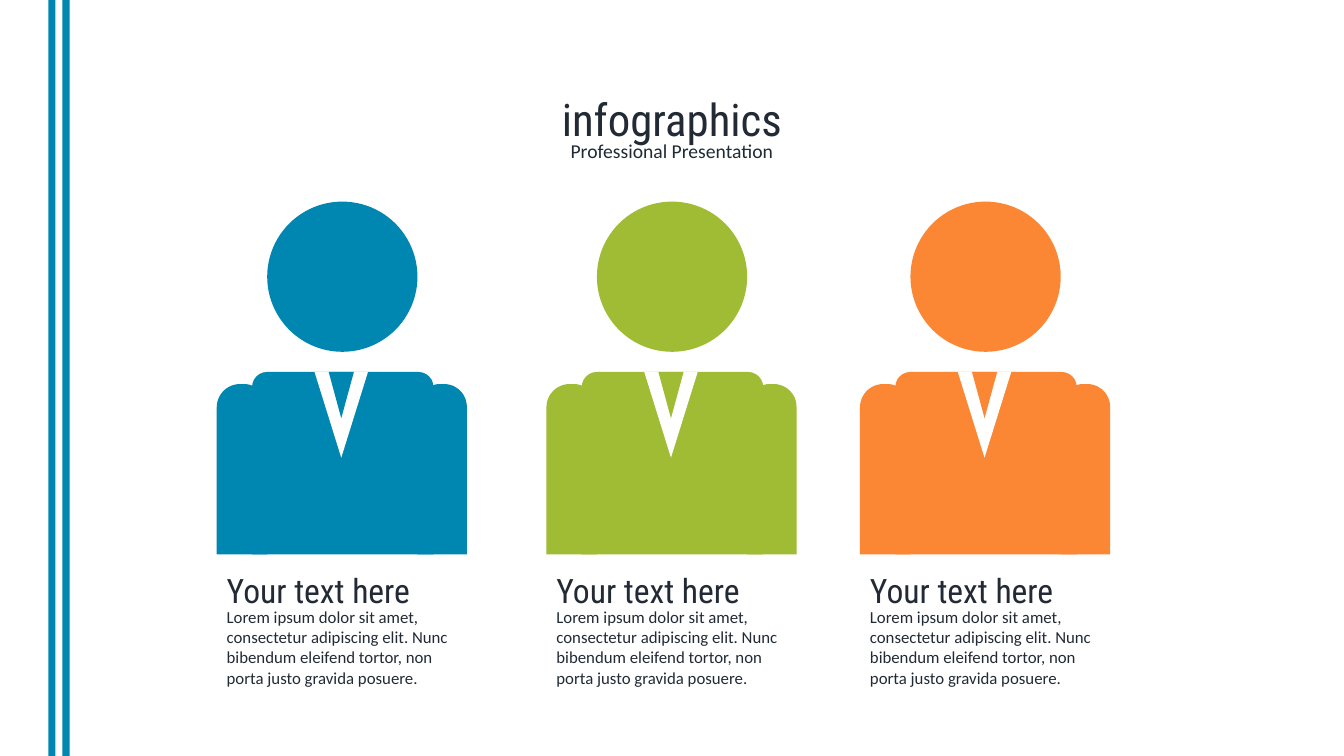
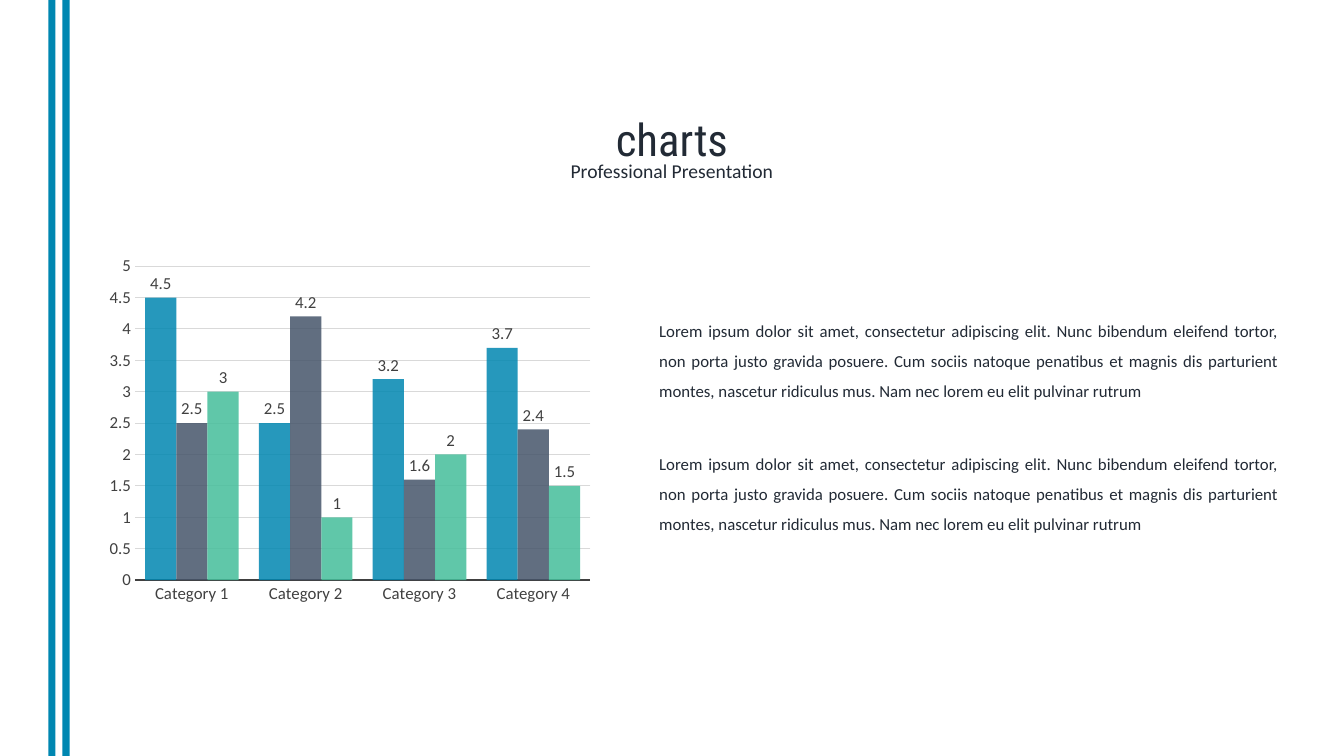
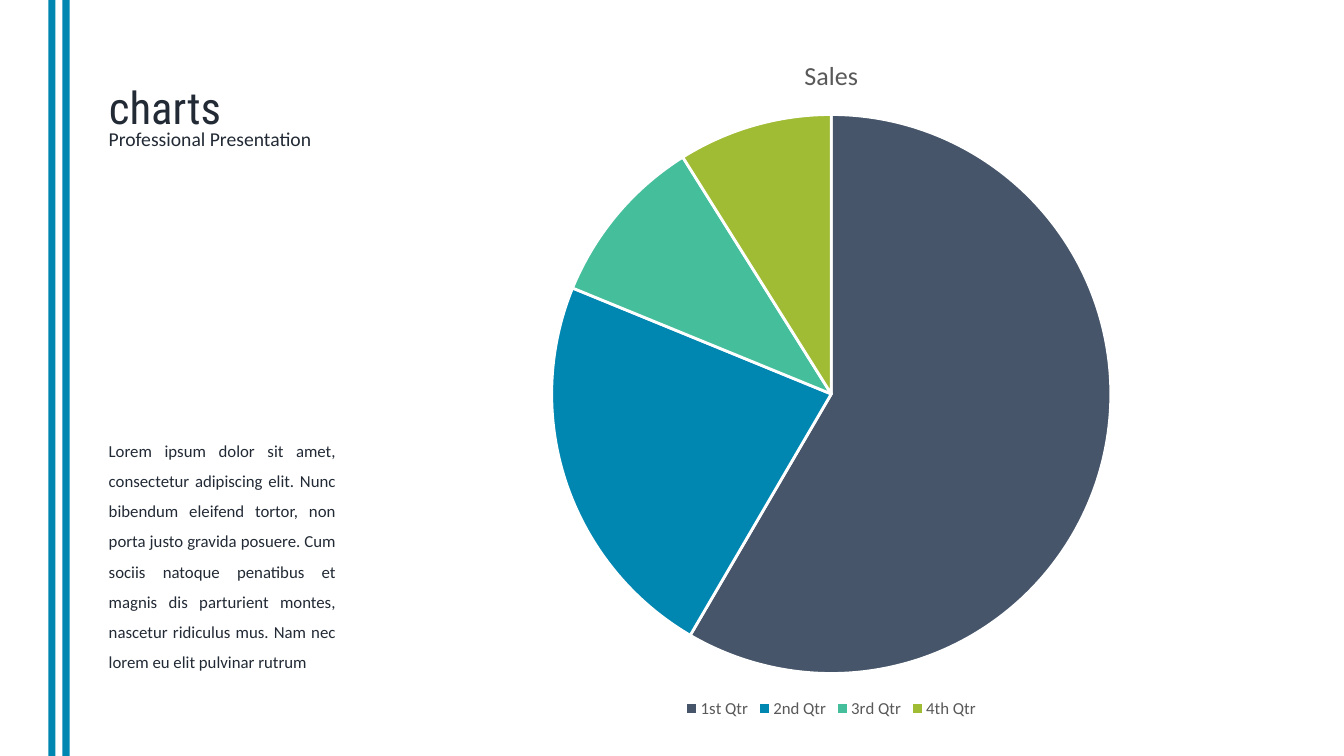
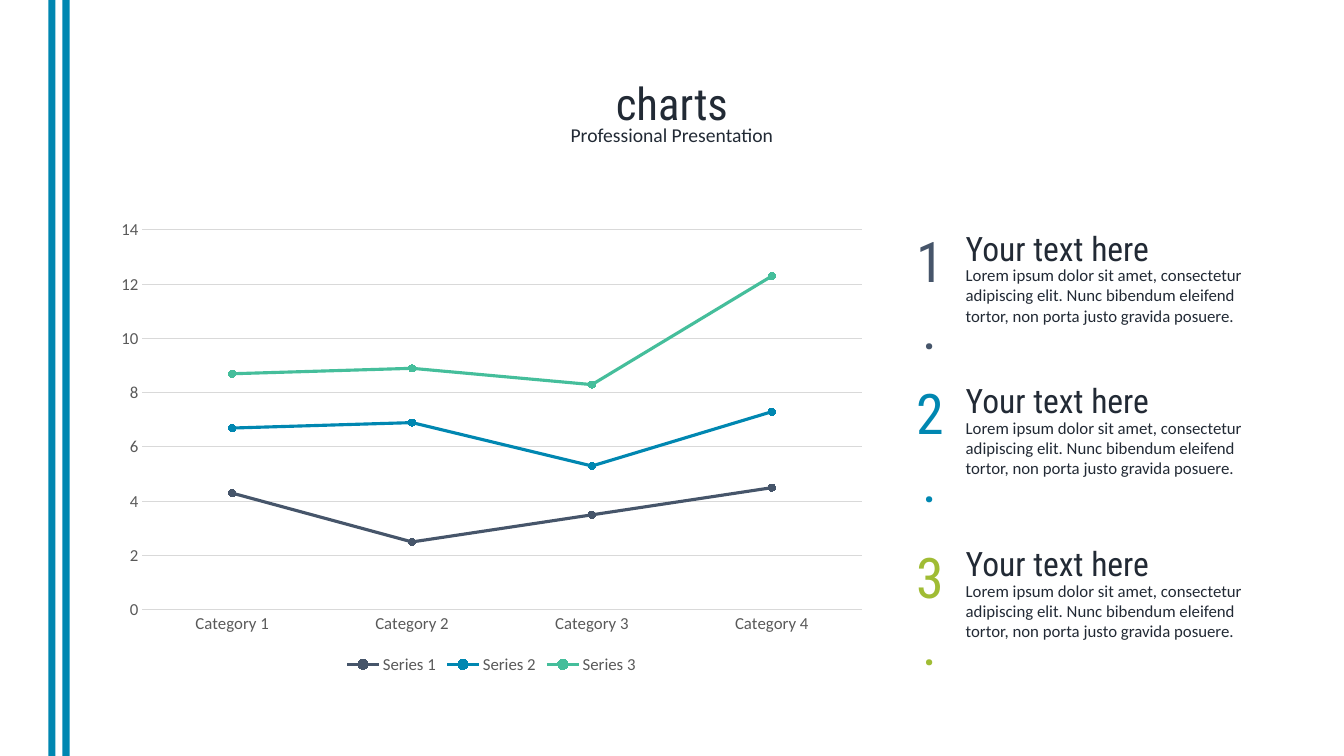
import dataclasses

import pptx
import pptx.chart.data
import pptx.dml.color
import pptx.enum.chart
import pptx.enum.shapes
import pptx.enum.text
import pptx.oxml
import pptx.oxml.ns
import pptx.util

Inches = pptx.util.Inches
Pt = pptx.util.Pt
SHAPE = pptx.enum.shapes.MSO_SHAPE
ALIGN = pptx.enum.text.PP_ALIGN
CHART = pptx.enum.chart.XL_CHART_TYPE


@dataclasses.dataclass(frozen=True)
class Theme:
    blue: str = "0087B1"
    slate: str = "46556A"
    mint: str = "45BE9B"
    green: str = "A0BC34"
    orange: str = "FB8734"
    white: str = "FFFFFF"
    ink: str = "222A35"
    axis_dark: str = "404040"
    axis_soft: str = "595959"
    grid: str = "D9D9D9"
    display_font: str = "Roboto Condensed"
    body_font: str = "Calibri"
    title_size: float = 32
    subtitle_size: float = 14
    heading_size: float = 24
    body_size: float = 12
    number_size: float = 40
    chart_title_size: float = 18.6


THEME = Theme()
WIDTH, HEIGHT = 13.33, 7.5
BAND_LEFTS, BAND_WIDTH = (0.48, 0.62), 0.07
SUBTITLE_DROP, HEADING_DROP = 0.47, 0.37

SUBTITLE = "Professional Presentation"
HEADING = "Your text here"
SHORT_TEXT = (
    "Lorem ipsum dolor sit amet, consectetur adipiscing elit. "
    "Nunc bibendum eleifend tortor, non porta justo gravida posuere."
)
LONG_TEXT = SHORT_TEXT + (
    " Cum sociis natoque penatibus et magnis dis parturient montes, "
    "nascetur ridiculus mus. Nam nec lorem eu elit pulvinar rutrum"
)

PEOPLE = [(2.15, THEME.blue), (5.42, THEME.green), (8.53, THEME.orange)]
PERSON_WIDTH = 2.48
# shape, left from the person's edge, top, width, height, corner share, is white
PERSON_PARTS = [
    (SHAPE.ROUND_2_SAME_RECTANGLE, 0.35, 3.69, 1.8, 1.81, 0.083, False),
    (SHAPE.OVAL, 0.5, 2, 1.49, 1.49, None, False),
    (SHAPE.ROUND_2_SAME_RECTANGLE, 0, 3.81, 0.5, 1.69, 0.46, False),
    (SHAPE.ROUND_2_SAME_RECTANGLE, 1.99, 3.81, 0.49, 1.69, 0.46, False),
    (SHAPE.FLOWCHART_MERGE, 0.97, 3.69, 0.53, 0.85, None, True),
    (SHAPE.FLOWCHART_MERGE, 1.11, 3.69, 0.25, 0.46, None, False),
]

CATEGORIES = ["Category 1", "Category 2", "Category 3", "Category 4"]
COLUMN_SERIES = [
    ("Series 1", (4.5, 2.5, 3.2, 3.7), THEME.blue),
    ("Series 2", (2.5, 4.2, 1.6, 2.4), THEME.slate),
    ("Series 3", (3, 1, 2, 1.5), THEME.mint),
]
COLUMN_PLOT_AREA = {"x": 0.055, "y": 0.051, "w": 0.78, "h": 0.833}
COLUMN_OPACITY = 85
QUARTERS = ["1st Qtr", "2nd Qtr", "3rd Qtr", "4th Qtr"]
SALES = (59, 23, 10, 9)
SALES_COLORS = [THEME.slate, THEME.blue, THEME.mint, THEME.green]
LINE_SERIES = [
    ("Series 1", (4.3, 2.5, 3.5, 4.5), THEME.slate),
    ("Series 2", (2.4, 4.4, 1.8, 2.8), THEME.blue),
    ("Series 3", (2, 2, 3, 5), THEME.mint),
]
NUMBERED = [
    ("1.", 2.21, THEME.slate),
    ("2.", 3.72, THEME.blue),
    ("3.", 5.34, THEME.green),
]


def rgb(color):
    return pptx.dml.color.RGBColor.from_string(color)


def place(item, left, top, width, height):
    item.left, item.top = Inches(left), Inches(top)
    item.width, item.height = Inches(width), Inches(height)


def style_font(font, size, color, name=THEME.body_font):
    font.size, font.name, font.bold = Pt(size), name, False
    font.color.rgb = rgb(color)


def write(box, text, size=THEME.body_size, color=THEME.ink, font=THEME.body_font,
          align=ALIGN.LEFT, spacing=None):
    frame = box.text_frame
    frame.word_wrap = True
    frame.auto_size = pptx.enum.text.MSO_AUTO_SIZE.NONE
    frame.vertical_anchor = pptx.enum.text.MSO_ANCHOR.TOP
    para = frame.paragraphs[0]
    para.alignment = align
    if spacing:
        para.line_spacing = spacing
    span = para.add_run()
    span.text = text
    style_font(span.font, size, color, font)


def add_text(page, text, area, **format_options):
    box = page.shapes.add_textbox(*map(Inches, area))
    write(box, text, **format_options)


def add_entry(page, left, top, width, body_height):
    """Add a heading with its short paragraph below."""
    add_text(page, SHORT_TEXT, (left, top + HEADING_DROP, width, body_height))
    add_text(page, HEADING, (left, top, width, 0.5),
             size=THEME.heading_size, font=THEME.display_font)


def add_filled(page, kind, area, color):
    shape = page.shapes.add_shape(kind, *map(Inches, area))
    shape.shadow.inherit = False
    shape.fill.solid()
    shape.fill.fore_color.rgb = rgb(color)
    shape.line.fill.background()
    return shape


def add_bands_to_layout(page):
    """Draw the side bands once and move them to the shared layout."""
    for left in BAND_LEFTS:
        band = add_filled(page, SHAPE.RECTANGLE, (left, 0, BAND_WIDTH, HEIGHT), THEME.blue)
        page.slide_layout.shapes.element.append(band.element)


def add_page(deck, title, top, left=0.88, width=11.57, align=ALIGN.CENTER):
    page = deck.slides.add_slide(deck.slide_layouts[5])
    place(page.shapes.title, left, top, width, 0.64)
    write(page.shapes.title, title, size=THEME.title_size,
          font=THEME.display_font, align=align)
    add_text(page, SUBTITLE, (left, top + SUBTITLE_DROP, width, 0.34),
             size=THEME.subtitle_size, align=align)
    return page


def add_chart(page, kind, area, categories, series, text_color, legend=True):
    data = pptx.chart.data.CategoryChartData()
    data.categories = categories
    for name, values, *_ in series:
        data.add_series(name, values)
    chart = page.shapes.add_chart(kind, *map(Inches, area), data).chart
    style_font(chart.font, THEME.body_size, text_color)
    chart.has_title = False
    chart.has_legend = legend
    if legend:
        chart.legend.position = pptx.enum.chart.XL_LEGEND_POSITION.BOTTOM
        chart.legend.include_in_layout = False
        style_font(chart.legend.font, THEME.body_size, text_color)
    return chart


def style_axes(chart, line_color, line_width):
    for axis in (chart.category_axis, chart.value_axis):
        axis.major_tick_mark = pptx.enum.chart.XL_TICK_MARK.NONE
        axis.minor_tick_mark = pptx.enum.chart.XL_TICK_MARK.NONE
    base = chart.category_axis.format.line
    base.color.rgb, base.width = rgb(line_color), Pt(line_width)
    values = chart.value_axis
    values.minimum_scale = 0
    values.format.line.fill.background()
    values.has_major_gridlines = True
    values.major_gridlines.format.line.color.rgb = rgb(THEME.grid)
    values.major_gridlines.format.line.width = Pt(0.75)


def set_plot_area(chart, shares):
    qn = pptx.oxml.ns.qn
    plot_area = chart.element.find(".//" + qn("c:plotArea"))
    for old in plot_area.findall(qn("c:layout")):
        plot_area.remove(old)
    sizes = "".join(f'<c:{key} val="{value}"/>' for key, value in shares.items())
    plot_area.insert(0, pptx.oxml.parse_xml(
        f'<c:layout {pptx.oxml.ns.nsdecls("c")}><c:manualLayout>'
        '<c:layoutTarget val="inner"/><c:xMode val="edge"/><c:yMode val="edge"/>'
        f'{sizes}</c:manualLayout></c:layout>'))


def set_opacity(series, percent):
    qn = pptx.oxml.ns.qn
    color = series.format.element.find(".//" + qn("a:srgbClr"))
    color.append(pptx.oxml.parse_xml(
        f'<a:alpha {pptx.oxml.ns.nsdecls("a")} val="{percent * 1000}"/>'))


def build_people(deck):
    page = add_page(deck, "infographics", 0.86)
    add_bands_to_layout(page)
    for left, color in PEOPLE:
        for kind, offset, top, width, height, corner, is_white in PERSON_PARTS:
            part = add_filled(page, kind, (left + offset, top, width, height),
                              THEME.white if is_white else color)
            if corner:
                part.adjustments[0] = corner
        add_entry(page, left, 5.6, PERSON_WIDTH, 0.91)


def build_columns(deck):
    page = add_page(deck, "charts", 1.06)
    chart = add_chart(page, CHART.COLUMN_CLUSTERED, (1.02, 2.45, 5.79, 3.74),
                      CATEGORIES, COLUMN_SERIES, THEME.axis_dark, legend=False)
    style_axes(chart, THEME.axis_dark, 1.5)
    chart.value_axis.maximum_scale = 5
    chart.value_axis.major_unit = 0.5
    set_plot_area(chart, COLUMN_PLOT_AREA)
    plot = chart.plots[0]
    plot.gap_width, plot.overlap, plot.vary_by_categories = 65, 0, False
    plot.has_data_labels = True
    plot.data_labels.show_value = True
    plot.data_labels.position = pptx.enum.chart.XL_LABEL_POSITION.OUTSIDE_END
    style_font(plot.data_labels.font, THEME.body_size, THEME.axis_dark)
    for series, (_, _, color) in zip(plot.series, COLUMN_SERIES):
        series.format.fill.solid()
        series.format.fill.fore_color.rgb = rgb(color)
        set_opacity(series, COLUMN_OPACITY)
    for top in (3.03, 4.35):
        add_text(page, LONG_TEXT, (6.44, top, 6.34, 1.01),
                 align=ALIGN.JUSTIFY, spacing=1.5)


def build_pie(deck):
    page = add_page(deck, "charts", 0.74, left=0.98, width=11.81, align=ALIGN.LEFT)
    chart = add_chart(page, CHART.PIE, (3.16, 0.33, 10.17, 6.84),
                      QUARTERS, [("Sales", SALES)], THEME.axis_soft)
    chart.has_title = True
    title = chart.chart_title.text_frame
    title.text = "Sales"
    style_font(title.paragraphs[0].runs[0].font, THEME.chart_title_size, THEME.axis_soft)
    chart.plots[0].vary_by_categories = True
    for index, color in enumerate(SALES_COLORS):
        slice_format = chart.plots[0].series[0].points[index].format
        slice_format.fill.solid()
        slice_format.fill.fore_color.rgb = rgb(color)
        slice_format.line.color.rgb = rgb(THEME.white)
        slice_format.line.width = Pt(2)
    add_text(page, LONG_TEXT, (0.98, 4.22, 2.45, 2.52),
             align=ALIGN.JUSTIFY, spacing=1.5)


def build_lines(deck):
    page = add_page(deck, "charts", 0.7)
    chart = add_chart(page, CHART.LINE_MARKERS_STACKED, (1.05, 2.09, 7.65, 4.64),
                      CATEGORIES, LINE_SERIES, THEME.axis_soft)
    style_axes(chart, THEME.grid, 0.75)
    chart.plots[0].vary_by_categories = False
    for series, (_, _, color) in zip(chart.plots[0].series, LINE_SERIES):
        series.smooth = False
        series.format.line.color.rgb = rgb(color)
        series.format.line.width = Pt(2.25)
        marker = series.marker
        marker.style, marker.size = pptx.enum.chart.XL_MARKER_STYLE.CIRCLE, 5
        marker.format.fill.solid()
        marker.format.fill.fore_color.rgb = rgb(color)
        marker.format.line.color.rgb = rgb(color)
    for number, top, color in NUMBERED:
        add_entry(page, 9.48, top, 3.17, 0.71)
        add_text(page, number, (8.96, top - 0.01, 0.53, 0.77), color=color,
                 size=THEME.number_size, font=THEME.display_font, align=ALIGN.CENTER)


def main():
    deck = pptx.Presentation()
    deck.slide_width, deck.slide_height = Inches(WIDTH), Inches(HEIGHT)
    for build in (build_people, build_columns, build_pie, build_lines):
        build(deck)
    deck.save("out.pptx")


if __name__ == "__main__":
    main()
